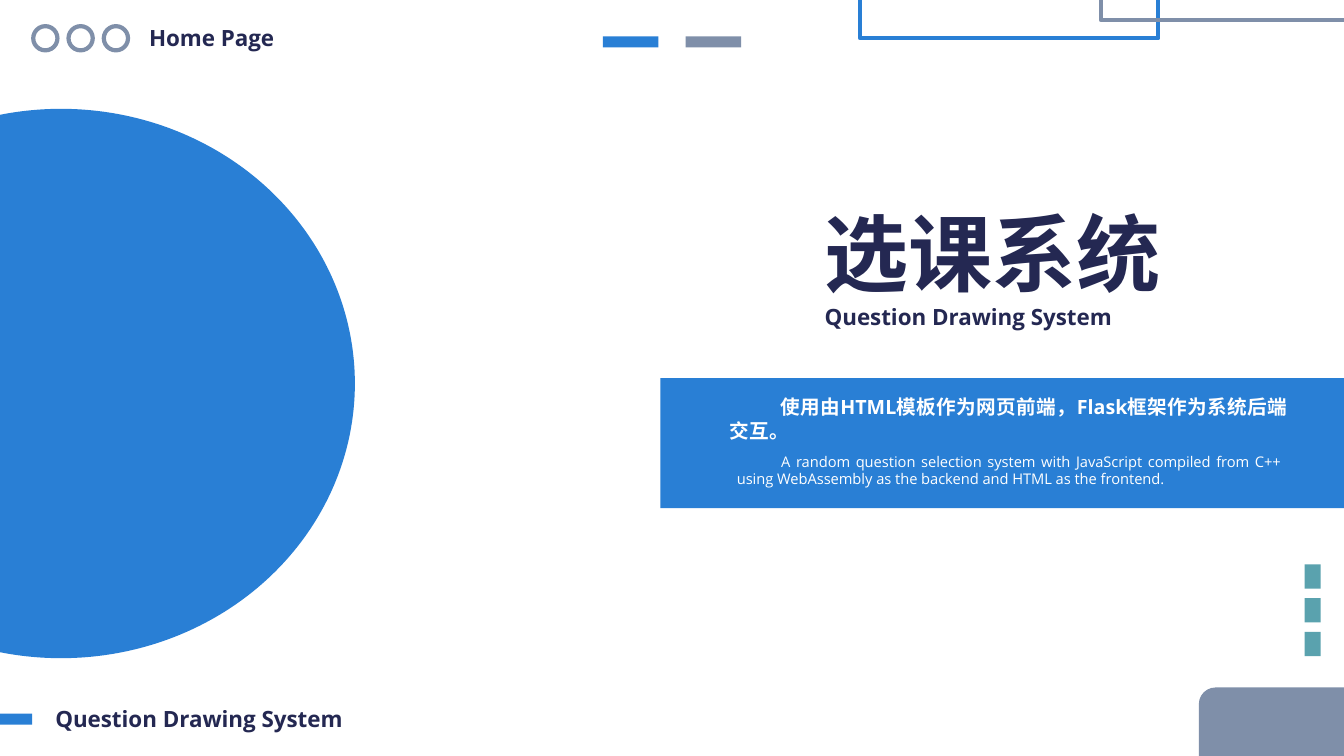
from pptx import Presentation
from pptx.dml.color import RGBColor
from pptx.enum.shapes import MSO_SHAPE
from pptx.enum.text import MSO_AUTO_SIZE, PP_ALIGN
from pptx.oxml.ns import qn
from pptx.util import Inches, Pt
from lxml import etree

BLUE = RGBColor(0x29, 0x7F, 0xD5)
GREY = RGBColor(0x7F, 0x8F, 0xA9)
TEAL = RGBColor(0x5A, 0xA2, 0xAE)
NAVY = RGBColor(0x24, 0x28, 0x52)
WHITE = RGBColor(0xFF, 0xFF, 0xFF)
RECTANGLE = MSO_SHAPE.RECTANGLE
OVAL = MSO_SHAPE.OVAL
ROUNDED = MSO_SHAPE.ROUNDED_RECTANGLE
JUSTIFY = PP_ALIGN.JUSTIFY
GROW = MSO_AUTO_SIZE.SHAPE_TO_FIT_TEXT
FONT = "Open Sans"
SYSTEM_NAME = "Question Drawing System"


def add_figure(slide, kind, left, top, width, height, fill=None, line=None):
    shape = slide.shapes.add_shape(
        kind, Inches(left), Inches(top), Inches(width), Inches(height))
    shape.shadow.inherit = False
    if fill is None:
        shape.fill.background()
    else:
        shape.fill.solid()
        shape.fill.fore_color.rgb = fill
    if line is None:
        shape.line.fill.background()
    else:
        shape.line.color.rgb = line
        shape.line.width = Pt(3)
    return shape


def add_text(slide, text, left, top, width, height, size=16, color=NAVY,
             bold=True, align=None, indent=0):
    box = slide.shapes.add_textbox(
        Inches(left), Inches(top), Inches(width), Inches(height))
    frame = box.text_frame
    frame.word_wrap = True
    frame.auto_size = GROW
    paragraph = frame.paragraphs[0]
    paragraph.alignment = align
    if indent:
        paragraph._p.get_or_add_pPr().set("indent", str(Inches(indent)))
    run = paragraph.add_run()
    run.text = text
    run.font.name = FONT
    run.font.size = Pt(size)
    run.font.bold = bold
    run.font.color.rgb = color
    east_asian = etree.SubElement(run._r.get_or_add_rPr(), qn("a:ea"))
    east_asian.set("typeface", FONT)


def add_header(slide, left, top):
    for index in range(3):
        add_figure(slide, OVAL, left + index * 0.35, top + 0.07, 0.24, 0.24, line=GREY)
    add_text(slide, "Home Page", left + 1.05, top, 1.75, 0.37)


def add_title(slide, left, top):
    add_text(slide, "选课系统", left, top, 3.72, 1.11, size=60)
    add_text(slide, SYSTEM_NAME, left, top + 1.01, 3.17, 0.37)


def add_summary(slide, left, top, width, height):
    add_figure(slide, RECTANGLE, left, top, width, height, fill=BLUE)
    add_text(slide, "使用由HTML模板作为网页前端，Flask框架作为系统后端交互。",
             left + 0.59, top + 0.12, 5.73, 0.57,
             size=14, color=WHITE, align=JUSTIFY, indent=0.5)
    add_text(slide, "A random question selection system with JavaScript compiled "
             "from C++ using WebAssembly as the backend and HTML as the frontend.",
             left + 0.66, top + 0.69, 5.6, 0.45,
             size=10.5, color=WHITE, bold=False, align=JUSTIFY, indent=0.44)


def add_footer(slide, left, top):
    add_text(slide, SYSTEM_NAME, left + 0.68, top, 3.17, 0.37)
    add_figure(slide, RECTANGLE, left, top + 0.13, 0.55, 0.11, fill=BLUE)


def add_corner_frames(slide, left, top):
    add_figure(slide, RECTANGLE, left, top, 2.96, 0.71, line=BLUE)
    add_figure(slide, RECTANGLE, left + 2.39, top - 0.18, 2.96, 0.71, line=GREY)


def add_dashes(slide, left, top):
    for index, color in enumerate((BLUE, GREY)):
        add_figure(slide, RECTANGLE, left + index * 0.82, top, 0.55, 0.11, fill=color)


def add_side_blocks(slide, left, top):
    for index in range(3):
        add_figure(slide, RECTANGLE, left, top + index * 0.335, 0.16, 0.24, fill=TEAL)


def add_cover(presentation):
    slide = presentation.slides.add_slide(presentation.slide_layouts[6])
    add_header(slide, 0.33, 0.19)
    add_title(slide, 8.08, 1.95)
    add_summary(slide, 6.55, 3.75, 6.78, 1.29)
    add_footer(slide, -0.23, 6.95)
    add_figure(slide, ROUNDED, 11.89, 6.82, 1.99, 0.99, fill=GREY)
    add_corner_frames(slide, 8.53, -0.33)
    add_side_blocks(slide, 12.94, 5.6)
    add_figure(slide, OVAL, -2.31, 1.08, 5.83, 5.45, fill=BLUE)
    add_dashes(slide, 5.98, 0.36)


presentation = Presentation()
presentation.slide_width = Inches(13.33)
presentation.slide_height = Inches(7.5)
add_cover(presentation)
presentation.save("out.pptx")
